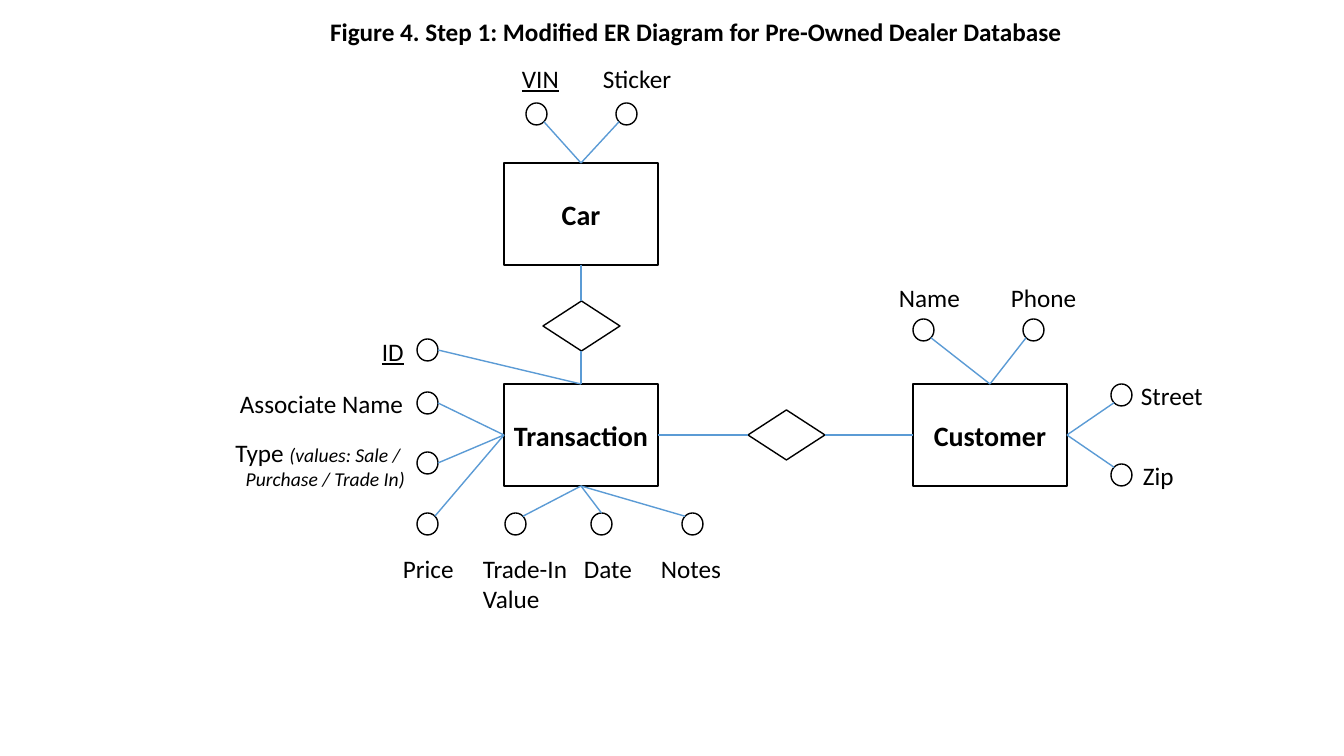
"""Build the modified ER diagram slide for the pre-owned dealer database."""
from lxml.etree import SubElement
from pptx import Presentation
from pptx.dml.color import RGBColor
from pptx.enum.shapes import MSO_CONNECTOR, MSO_SHAPE
from pptx.enum.text import MSO_ANCHOR, MSO_AUTO_SIZE, PP_ALIGN
from pptx.oxml.ns import qn
from pptx.util import Emu, Pt

SCALE = 914400 / 100.8
COLORS = {"ink": "000000", "link": "5B9BD5"}


def pixels(*lengths):
    return [Emu(round(length * SCALE)) for length in lengths]


def write_text(frame, text, size=18, bold=False, italic=False, underline=False,
               align=PP_ALIGN.LEFT, new_paragraph=False):
    paragraph = frame.add_paragraph() if new_paragraph else frame.paragraphs[-1]
    paragraph.alignment = align
    paragraph.line_spacing = 1.0
    run = paragraph.add_run()
    run.text = text
    run.font.name = "Calibri"
    run.font.size = Pt(size)
    run.font.bold = bold
    run.font.italic = italic
    run.font.underline = underline
    run.font.color.rgb = RGBColor.from_string(COLORS["ink"])


presentation = Presentation()
presentation.slide_width, presentation.slide_height = pixels(1344, 756)
slide = presentation.slides.add_slide(presentation.slide_layouts[5])

title = slide.shapes.title
title.left, title.top, title.width, title.height = pixels(320, 11, 753, 40)
title.text_frame.word_wrap = False
title.text_frame.auto_size = MSO_AUTO_SIZE.NONE
title.text_frame.vertical_anchor = MSO_ANCHOR.TOP
write_text(title.text_frame,
           "Figure 4. Step 1: Modified ER Diagram for Pre-Owned Dealer Database", bold=True)

BOX_WIDTH, BOX_HEIGHT = 154, 102
DIAMOND_WIDTH, DIAMOND_HEIGHT = 77, 50
CIRCLE_WIDTH, CIRCLE_HEIGHT = 21, 22
entities = {"Car": (504, 163), "Transaction": (504, 384), "Customer": (913, 384)}
relationships = [(543, 301), (748, 410)]
sides = {"top": (0, -1), "right": (1, 0), "bottom": (0, 1), "left": (-1, 0),
         "top left": (-0.7, -0.7), "top right": (0.7, -0.7),
         "bottom left": (-0.7, 0.7), "bottom right": (0.7, 0.7)}

attributes = [
    ("VIN", (512, 58, 57), (526, 103), "bottom right", "Car", "top"),
    ("Sticker", (593, 58, 90), (616, 103), "bottom left", "Car", "top"),
    ("ID", (372, 331, 42), (417, 339), "right", "Transaction", "top"),
    ("Associate Name", (230, 383, 185), (417, 392), "right", "Transaction", "left"),
    ("Type ", (223, 432, 192), (417, 452), "right", "Transaction", "left"),
    ("Price", (393, 548, 72), (417, 513), "top right", "Transaction", "left"),
    ("Trade-In", (473, 548, 106), (505, 513), "top right", "Transaction", "bottom"),
    ("Date", (574, 548, 69), (591, 513), "top", "Transaction", "bottom"),
    ("Notes", (651, 548, 81), (682, 513), "top left", "Transaction", "bottom"),
    ("Name", (889, 277, 82), (913, 319), "bottom right", "Customer", "top"),
    ("Phone", (1001, 277, 87), (1023, 319), "bottom left", "Customer", "top"),
    ("Street", (1131, 375, 83), (1111, 384), "bottom left", "Customer", "right"),
    ("Zip", (1133, 455, 51), (1111, 464), "top left", "Customer", "right"),
]

links = [((581, 265), (581, 301)), ((581, 351), (581, 384)),
         ((658, 435), (748, 435)), ((825, 435), (913, 435))]
for name, label, (left, top), circle_side, entity, entity_side in attributes:
    across, down = sides[circle_side]
    start = (left + CIRCLE_WIDTH * (1 + across) / 2, top + CIRCLE_HEIGHT * (1 + down) / 2)
    across, down = sides[entity_side]
    box_left, box_top = entities[entity]
    end = (box_left + BOX_WIDTH * (1 + across) / 2, box_top + BOX_HEIGHT * (1 + down) / 2)
    links.append((start, end))

outlines = [(MSO_SHAPE.RECTANGLE, place, BOX_WIDTH, BOX_HEIGHT, name)
            for name, place in entities.items()]
outlines += [(MSO_SHAPE.DIAMOND, place, DIAMOND_WIDTH, DIAMOND_HEIGHT, "")
             for place in relationships]
outlines += [(MSO_SHAPE.OVAL, attribute[2], CIRCLE_WIDTH, CIRCLE_HEIGHT, "")
             for attribute in attributes]
for preset, place, width, height, name in outlines:
    shape = slide.shapes.add_shape(preset, *pixels(*place, width, height))
    shape.shadow.inherit = False
    shape.fill.background()
    shape.line.color.rgb = RGBColor.from_string(COLORS["ink"])
    shape.line.width = Pt(1)
    if name:
        shape.text_frame.vertical_anchor = MSO_ANCHOR.MIDDLE
        write_text(shape.text_frame, name, size=20, bold=True, align=PP_ALIGN.CENTER)

for start, end in links:
    connector = slide.shapes.add_connector(MSO_CONNECTOR.STRAIGHT, *pixels(*start, *end))
    connector.line.color.rgb = RGBColor.from_string(COLORS["link"])
    connector.line.width = Pt(1)
    SubElement(connector.element.spPr, qn("a:effectLst"))

second_lines = {"Type ": "Purchase / Trade In)", "Trade-In": "Value"}
for name, (left, top, width), *rest in attributes:
    height = {"Type ": 65, "Trade-In": 72}.get(name, 40)
    label = slide.shapes.add_textbox(*pixels(left, top, width, height))
    frame = label.text_frame
    frame.word_wrap = False
    frame.auto_size = MSO_AUTO_SIZE.SHAPE_TO_FIT_TEXT
    is_type = name == "Type "
    align = PP_ALIGN.RIGHT if is_type else PP_ALIGN.LEFT
    write_text(frame, name, underline=name in ("VIN", "ID"), align=align)
    if is_type:
        write_text(frame, "(values: Sale / ", size=14, italic=True, align=align)
    if name in second_lines:
        write_text(frame, second_lines[name], size=14 if is_type else 18,
                   italic=is_type, align=align, new_paragraph=True)

presentation.save("out.pptx")
